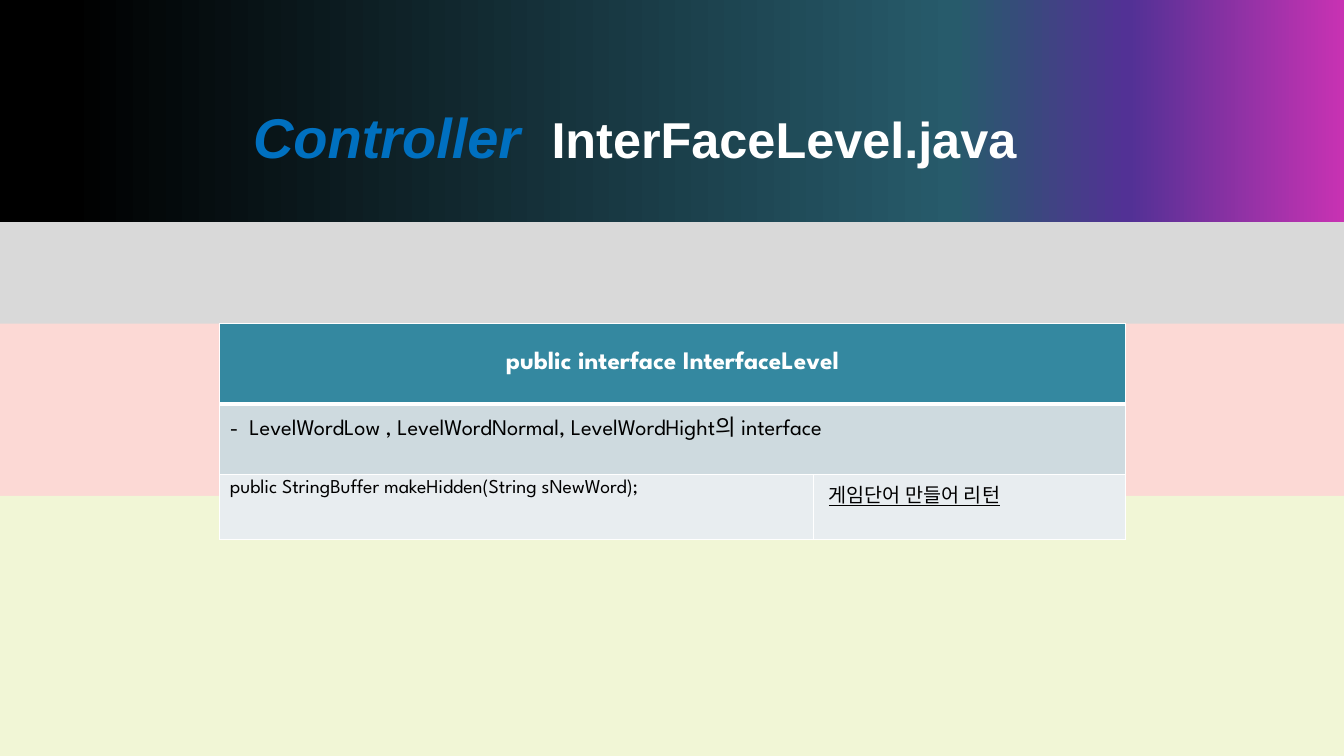
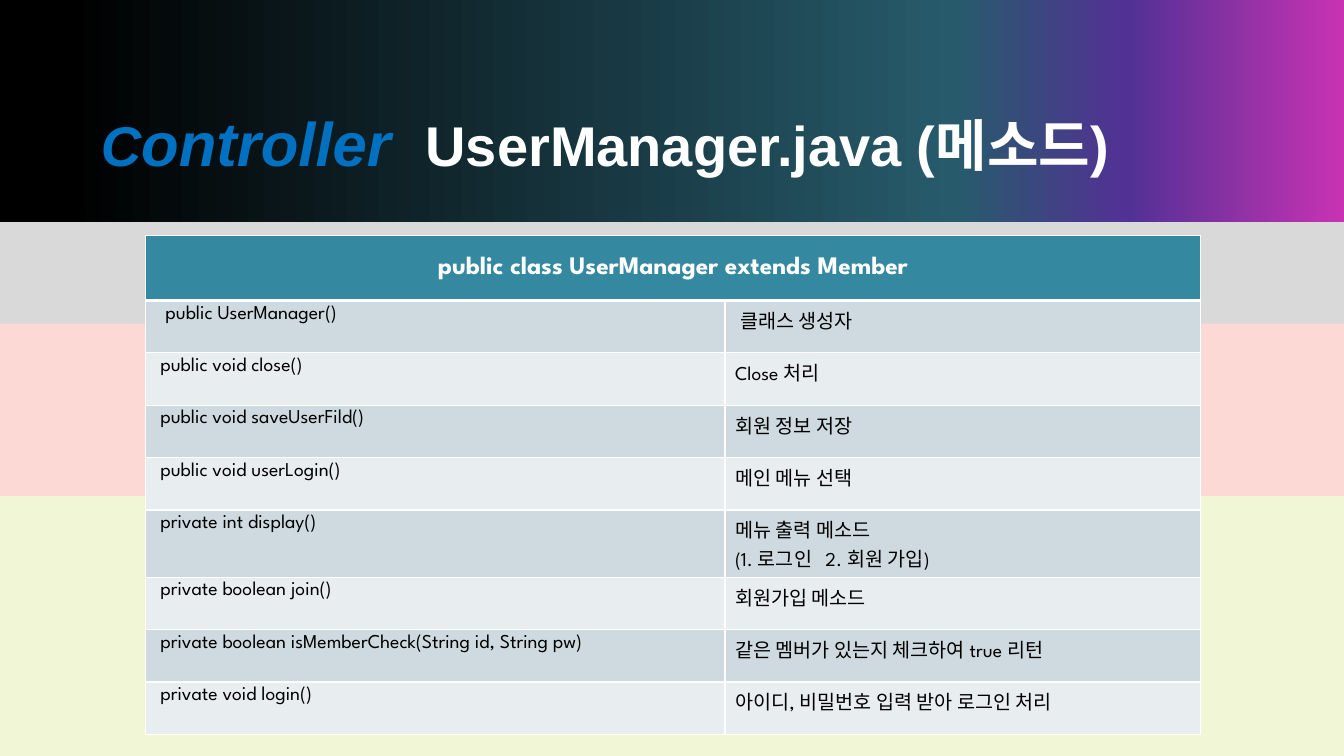
"""Build two slides that describe the controller classes of a word game."""
import lxml.etree
import pptx
import pptx.dml.color
import pptx.enum.shapes
import pptx.enum.text
import pptx.oxml.ns
import pptx.util

Inches = pptx.util.Inches
Pt = pptx.util.Pt
qn = pptx.oxml.ns.qn


def color(value):
    return pptx.dml.color.RGBColor.from_string(value)


def entry(text, indent=0.1, **formats):
    return {"text": text, "indent": indent, "formats": formats}


class Deck:
    TITLE = {"name": "Arial", "size": Pt(40), "bold": True, "italic": False, "color": "FFFFFF"}
    ACCENT = {"italic": True, "color": "0070C0"}
    HEADER = {"name": "League Spartan", "size": Pt(18), "bold": True, "color": "FFFFFF"}
    BODY = {"name": "League Spartan", "size": Pt(14), "bold": False, "color": "000000"}
    HEADER_FILL = "3488A0"
    ROW_FILLS = ("E8EDF0", "CEDADF")
    BORDER = "FFFFFF"
    BANDS = ((0.12, 7.38, "D9D9D9"), (0, 2.2, None), (3.21, 1.71, "FCD9D5"), (4.92, 2.58, "F1F6D6"))
    GRADIENT = ((0, "C832B3"), (16, "523195"), (29, "275B6B"), (95, "000000"))

    def __init__(self):
        self.presentation = pptx.Presentation()
        self.presentation.slide_width = Inches(13.33)
        self.presentation.slide_height = Inches(7.5)
        self.slide = None

    def add_slide(self):
        layout = self.presentation.slide_layouts[5]
        self.slide = self.presentation.slides.add_slide(layout)
        for top, height, fill in self.BANDS:
            self.band(top, height, fill)

    def band(self, top, height, fill):
        shape = self.slide.shapes.add_shape(
            pptx.enum.shapes.MSO_SHAPE.RECTANGLE, 0, Inches(top),
            self.presentation.slide_width, Inches(height))
        shape.shadow.inherit = False
        shape.line.fill.background()
        if fill:
            shape.fill.solid()
            shape.fill.fore_color.rgb = color(fill)
        else:
            self.gradient(shape)

    def gradient(self, shape):
        shape.fill.gradient()
        shape.fill.gradient_angle = 180
        stops = next(shape.element.iter(qn("a:gsLst")))
        for stop in list(stops):
            stops.remove(stop)
        for position, value in self.GRADIENT:
            stop = lxml.etree.SubElement(stops, qn("a:gs"), pos=str(position * 1000))
            lxml.etree.SubElement(stop, qn("a:srgbClr"), val=value)

    def add_text(self, paragraph, text, formats):
        run = paragraph.add_run()
        run.text = text
        for name, value in formats.items():
            if name == "color":
                run.font.color.rgb = color(value)
            else:
                setattr(run.font, name, value)

    def title(self, left, top, width, runs):
        shape = self.slide.shapes.title
        self.slide.shapes.element.append(shape.element)
        box = {"left": left, "top": top, "width": width, "height": 1.5}
        for name, value in box.items():
            setattr(shape, name, Inches(value))
        frame = shape.text_frame
        frame.auto_size = pptx.enum.text.MSO_AUTO_SIZE.NONE
        frame.vertical_anchor = pptx.enum.text.MSO_ANCHOR.MIDDLE
        paragraph = frame.paragraphs[0]
        paragraph.alignment = pptx.enum.text.PP_ALIGN.LEFT
        paragraph.line_spacing = 0.9
        for text, formats in runs:
            self.add_text(paragraph, text, {**self.TITLE, **formats})

    def table(self, left, top, columns, heights, heading, rows):
        frame = self.slide.shapes.add_table(
            len(heights), len(columns), Inches(left), Inches(top),
            Inches(sum(columns)), Inches(sum(heights)))
        table = frame.table
        table.horz_banding = False
        for column, width in zip(table.columns, columns):
            column.width = Inches(width)
        for row, height in zip(table.rows, heights):
            row.height = Inches(height)
        for index, entries in enumerate([[entry(heading)], *rows]):
            for column in range(len(columns)):
                self.decorate(table.cell(index, column), index)
            if len(entries) == 1:
                table.cell(index, 0).merge(table.cell(index, len(columns) - 1))
            for column, content in enumerate(entries):
                self.fill_cell(table.cell(index, column), content, index == 0)

    def decorate(self, cell, index):
        cell.fill.solid()
        fill = self.ROW_FILLS[index % 2] if index else self.HEADER_FILL
        cell.fill.fore_color.rgb = color(fill)
        properties = cell._tc.get_or_add_tcPr()
        widths = {"L": 1, "R": 1, "T": 3 if index == 1 else 1, "B": 1 if index else 3}
        for position, (side, width) in enumerate(widths.items()):
            line = lxml.etree.SubElement(properties, qn("a:ln" + side), w=str(int(Pt(width))))
            solid = lxml.etree.SubElement(line, qn("a:solidFill"))
            lxml.etree.SubElement(solid, qn("a:srgbClr"), val=self.BORDER)
            properties.insert(position, line)

    def fill_cell(self, cell, content, is_header):
        cell.margin_left = Inches(content["indent"])
        style = self.HEADER if is_header else self.BODY
        if is_header:
            cell.vertical_anchor = pptx.enum.text.MSO_ANCHOR.MIDDLE
        frame = cell.text_frame
        for number, text in enumerate(content["text"].split("\n")):
            paragraph = frame.add_paragraph() if number else frame.paragraphs[0]
            if is_header:
                paragraph.alignment = pptx.enum.text.PP_ALIGN.CENTER
            self.add_text(paragraph, text, {**style, **content["formats"]})


def main():
    deck = Deck()

    deck.add_slide()
    deck.title(2.41, 0.64, 8.54, [
        ("Controller  ", deck.ACCENT),
        ("InterFaceLevel.java", {"size": Pt(36)}),
    ])
    deck.table(2.18, 3.21, (5.89, 3.09), (0.8, 0.7, 0.64), "public interface InterfaceLevel", [
        [entry("-  LevelWordLow , LevelWordNormal, LevelWordHight의 interface", size=Pt(16))],
        [entry("public StringBuffer makeHidden(String sNewWord);"),
         entry("게임단어 만들어 리턴", 0.15, underline=True)],
    ])

    deck.add_slide()
    deck.title(0.9, 0.7, 10.73, [
        ("C", deck.ACCENT),
        ("ontroller  ", {**deck.ACCENT, "size": Pt(44)}),
        ("UserManager.java (메소드)", {}),
    ])
    methods = [
        ("public void close()", "Close 처리"),
        ("public void saveUserFild()", "회원 정보 저장"),
        ("public void userLogin()", "메인 메뉴 선택"),
        ("private int display()", "메뉴 출력 메소드\n(1. 로그인   2. 회원 가입)"),
        ("private boolean join()", "회원가입 메소드"),
        ("private boolean isMemberCheck(String id, String pw)",
         "같은 멤버가 있는지 체크하여 true 리턴"),
        ("private void login()", "아이디, 비밀번호 입력 받아 로그인 처리"),
    ]
    rows = [[entry("public UserManager()", 0.2), entry("클래스 생성자", 0.15)]]
    rows += [[entry(method, 0.15), entry(purpose)] for method, purpose in methods]
    deck.table(1.44, 2.34, (5.75, 4.72), [0.64] + [0.52] * len(rows),
               "public class UserManager extends Member", rows)

    deck.presentation.save("out.pptx")


if __name__ == "__main__":
    main()
